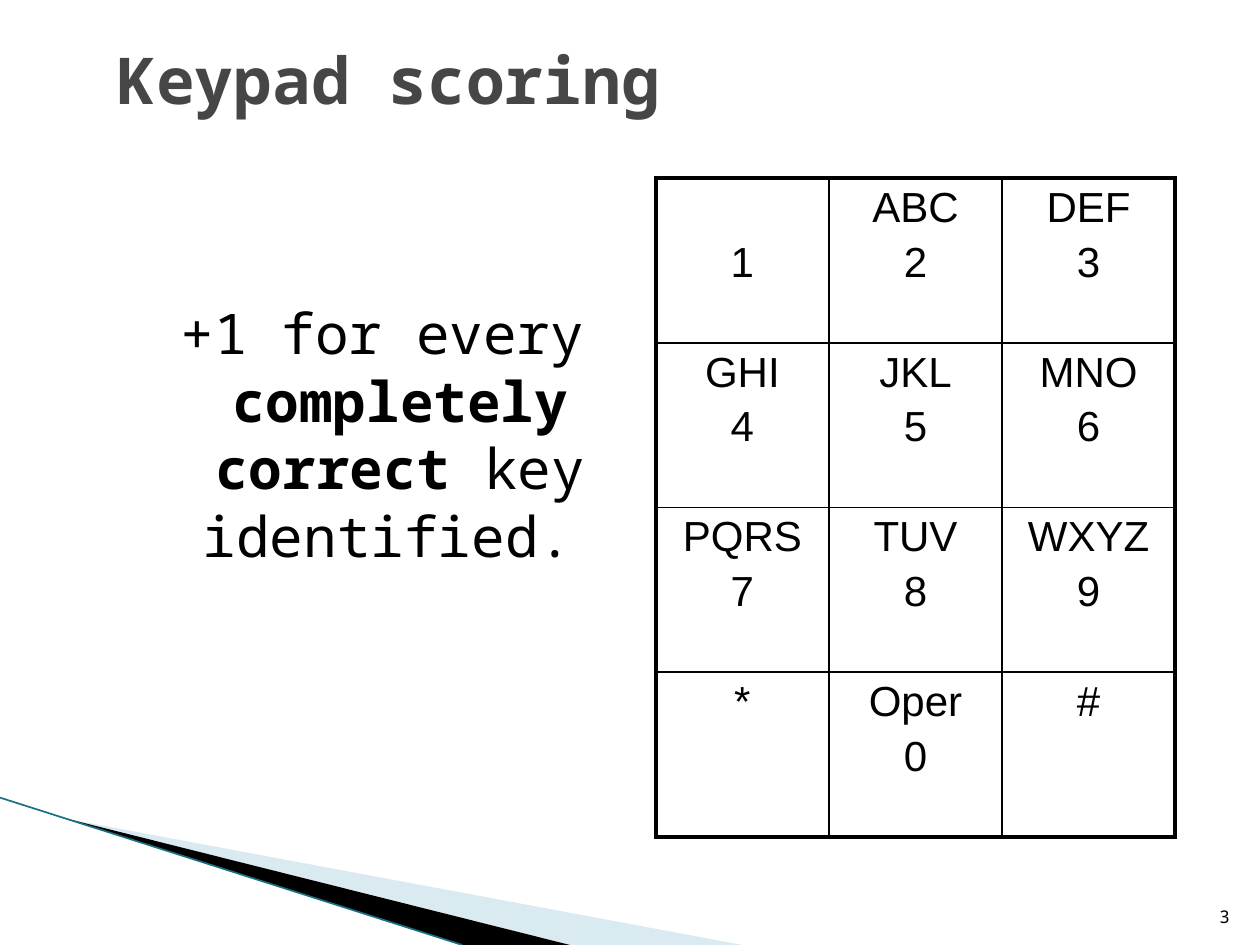
from lxml.etree import SubElement
from pptx import Presentation
from pptx.dml.color import RGBColor
from pptx.enum.shapes import MSO_CONNECTOR
from pptx.enum.text import MSO_ANCHOR, PP_ALIGN
from pptx.oxml import parse_xml
from pptx.oxml.ns import nsdecls, qn
from pptx.util import Cm, Pt

BLACK = RGBColor(0x00, 0x00, 0x00)
GREY = RGBColor(0x46, 0x46, 0x46)
PALE_BLUE = RGBColor(0xA0, 0xCB, 0xDC)
TEAL = RGBColor(0x1A, 0x6F, 0x80)
MONO = "Noto Sans Mono"
SANS = "Arial"
KEYS = [
    ["1", "ABC\n2", "DEF\n3"],
    ["GHI\n4", "JKL\n5", "MNO\n6"],
    ["PQRS\n7", "TUV\n8", "WXYZ\n9"],
    ["*", "Oper\n0", "#"],
]


class SlideBuilder:
    """Holds the style and the current slide, and adds elements to it."""

    def __init__(self, prs):
        self.slide = prs.slides.add_slide(prs.slide_layouts[5])
        self.shapes = self.slide.shapes

    def style(self, r, size, font=MONO, color=BLACK, bold=False):
        r.font.size, r.font.name, r.font.bold = Pt(size), font, bold
        r.font.color.rgb = color

    def wedge(self, points, frame, color, opacity=100):
        start, *rest = [(Cm(x), Cm(y)) for x, y in points]
        builder = self.shapes.build_freeform(*start, scale=1.0)
        builder.add_line_segments(rest, close=True)
        sp = builder.convert_to_shape()
        x, y, w, h = map(Cm, frame)
        for pt in sp._element.iter(qn("a:pt")):
            pt.set("x", str(int(pt.get("x")) + sp.left - x))
            pt.set("y", str(int(pt.get("y")) + sp.top - y))
        for outline in sp._element.iter(qn("a:path")):
            outline.set("w", str(w))
            outline.set("h", str(h))
        sp.left, sp.top, sp.width, sp.height = x, y, w, h
        sp.shadow.inherit = False
        sp.fill.solid()
        sp.fill.fore_color.rgb = color
        sp.line.fill.background()
        if opacity < 100:
            clr = sp.fill._xPr.find(qn("a:solidFill"))[0]
            SubElement(clr, qn("a:alpha"), val=str(opacity * 1000))

    def line(self, x1, y1, x2, y2, color, width):
        cxn = self.shapes.add_connector(
            MSO_CONNECTOR.STRAIGHT, Cm(x1), Cm(y1), Cm(x2), Cm(y2))
        cxn.line.color.rgb = color
        cxn.line.width = Pt(width)
        SubElement(cxn._element.spPr, qn("a:effectLst"))

    def title(self, text, x, y, w, h):
        sp = self.shapes.title
        sp.left, sp.top, sp.width, sp.height = Cm(x), Cm(y), Cm(w), Cm(h)
        tf = sp.text_frame
        tf.text = text
        tf.vertical_anchor = MSO_ANCHOR.MIDDLE
        p = tf.paragraphs[0]
        p.alignment = PP_ALIGN.LEFT
        self.style(p.runs[0], 36.9, color=GREY, bold=True)

    def text(self, runs, x, y, w, h, align, anchor=MSO_ANCHOR.TOP):
        tf = self.shapes.add_textbox(Cm(x), Cm(y), Cm(w), Cm(h)).text_frame
        tf.word_wrap = True
        tf.vertical_anchor = anchor
        p = tf.paragraphs[0]
        p.alignment = align
        for text, size, bold in runs:
            r = p.add_run()
            r.text = text
            self.style(r, size, bold=bold)
        return tf

    def border(self, side, width):
        return parse_xml(
            f'<a:ln{side} {nsdecls("a")} w="{Pt(width)}"><a:solidFill>'
            f'<a:srgbClr val="{BLACK}"/></a:solidFill></a:ln{side}>')

    def keypad(self, keys, x, y, col_w, row_h):
        rows, cols = len(keys), len(keys[0])
        frame = self.shapes.add_table(
            rows, cols, Cm(x), Cm(y), Cm(col_w * cols), Cm(row_h * rows))
        table = frame.table
        table.first_row = table.horz_banding = False
        for row in table.rows:
            row.height = Cm(row_h)
        for i, labels in enumerate(keys):
            for j, label in enumerate(labels):
                cell = table.cell(i, j)
                cell.fill.background()
                cell.text_frame.text = label
                if label == "1":
                    cell.margin_top = Cm(1.24)
                for p in cell.text_frame.paragraphs:
                    p.alignment = PP_ALIGN.CENTER
                    p.space_before = Pt(4.5)
                    self.style(p.runs[0], 24, SANS)
                outer = {"L": j == 0, "R": j == cols - 1,
                         "T": i == 0, "B": i == rows - 1}
                tcPr = cell._tc.get_or_add_tcPr()
                for k, (side, is_outer) in enumerate(outer.items()):
                    tcPr.insert(k, self.border(side, 2.25 if is_outer else 1))


def main():
    prs = Presentation()
    prs.slide_width, prs.slide_height = Cm(25.4), Cm(19.05)
    s = SlideBuilder(prs)
    s.wedge([(1.3, 16.5), (14.96, 19.05), (11.49, 19.05)],
            (1.98, 13.89, 10.57, 4.01), PALE_BLUE, 40)
    s.wedge([(1.25, 16.48), (11.49, 19.05), (9.3, 19.05)],
            (-0.15, 16.08, 10.57, 2.34), BLACK)
    s.line(0, 16.08, 9.32, 19.05, TEAL, 0.95)
    s.title("Keypad scoring", 2.11, 0.64, 22.02, 1.9)
    tf = s.text(
        [("+1 for every ", 32, False), ("completely correct", 32, True),
         (" key identified.", 32, False), (" ", 24, False)],
        2.33, 3.61, 10.46, 13.31, PP_ALIGN.CENTER)
    tf.margin_top = Cm(2.4)
    p = tf.paragraphs[0]
    p.line_spacing = Pt(38.6)
    pPr = p._p.get_or_add_pPr()
    pPr.set("marL", str(Cm(1.02)))
    pPr.set("indent", str(Cm(-0.71)))
    s.keypad(KEYS, 13.22, 3.59, 3.49, 3.32)
    s.text([("3", 10, False)], 24.02, 17.79, 1.02, 1.02,
           PP_ALIGN.RIGHT, MSO_ANCHOR.BOTTOM)
    prs.save("out.pptx")


if __name__ == "__main__":
    main()
